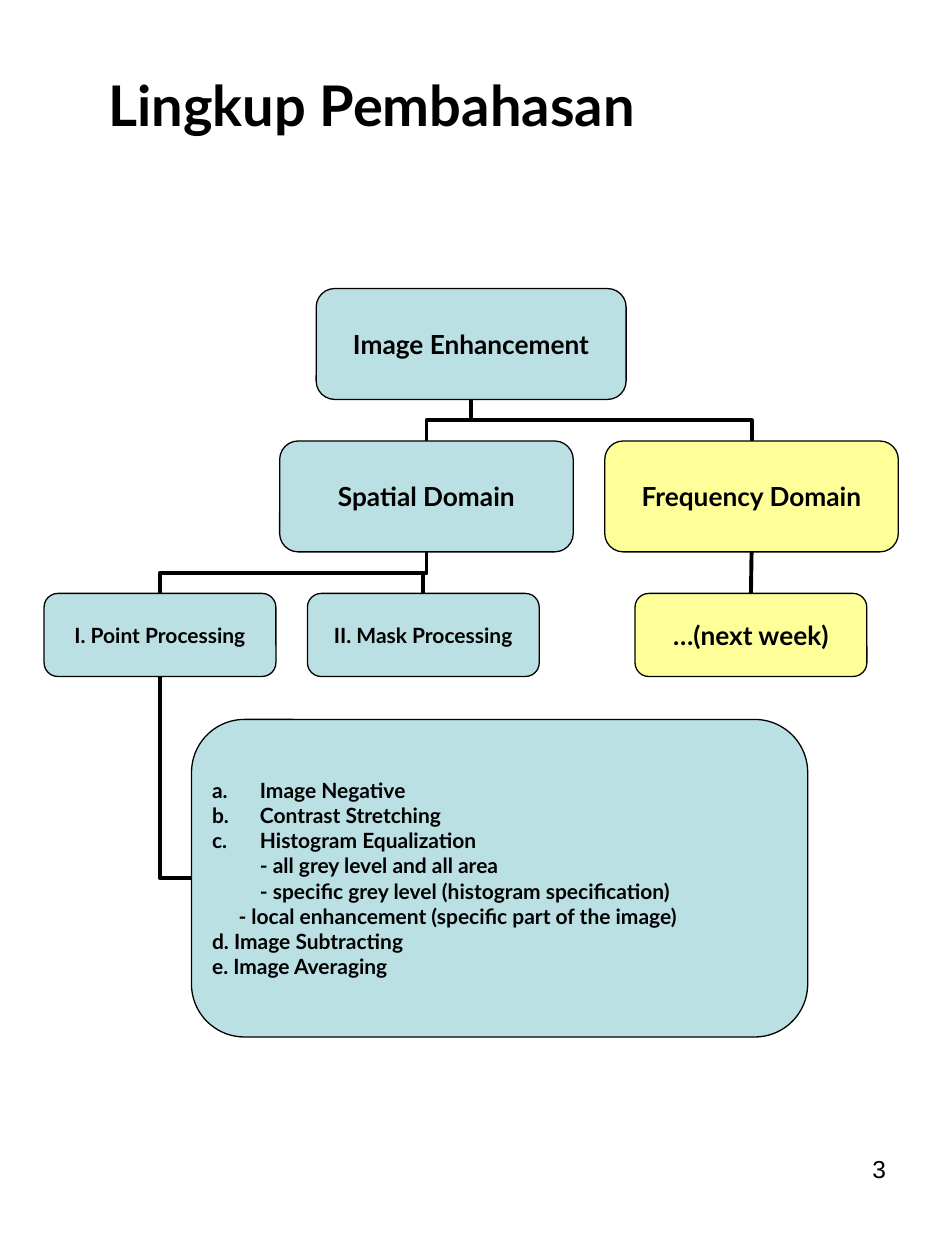
from dataclasses import dataclass

from pptx import Presentation
from pptx.dml.color import RGBColor
from pptx.enum.shapes import MSO_CONNECTOR, MSO_SHAPE
from pptx.enum.text import MSO_ANCHOR, PP_ALIGN
from pptx.oxml.ns import qn
from pptx.util import Inches, Pt
from lxml.etree import SubElement

COLORS = {"ink": "000000", "covered": "BBE0E3", "later": "FFFF99"}
LEVEL_TOPS = (2.29, 3.5, 4.71)


@dataclass(frozen=True)
class Topic:
    left: float
    top: float
    width: float
    height: float
    text: str = ""
    size: float = 15
    color: str = "covered"

    @property
    def center(self) -> float:
        return self.left + self.width / 2

    @property
    def bottom(self) -> float:
        return self.top + self.height


@dataclass(frozen=True)
class ListLine:
    text: str
    indent: float = 0
    lettered: bool = False


root = Topic(2.51, LEVEL_TOPS[0], 2.46, 0.88, "Image Enhancement")
spatial = Topic(2.22, LEVEL_TOPS[1], 2.33, 0.88, "Spatial Domain")
frequency = Topic(4.8, LEVEL_TOPS[1], 2.33, 0.88, "Frequency Domain", color="later")
point = Topic(0.35, LEVEL_TOPS[2], 1.84, 0.66, "I. Point Processing", 12)
mask = Topic(2.44, LEVEL_TOPS[2], 1.84, 0.66, "II. Mask Processing", 12)
next_week = Topic(5.04, LEVEL_TOPS[2], 1.84, 0.66, "…(next week)", color="later")
methods = Topic(1.52, 5.71, 4.89, 2.52, size=12)

TOPICS = (root, spatial, frequency, point, mask, next_week)
BRANCHES = ((root, spatial), (root, frequency), (spatial, point),
            (spatial, mask), (frequency, next_week))
METHOD_LINES = (
    ListLine("Image Negative", 0.38, True),
    ListLine("Contrast Stretching", 0.38, True),
    ListLine("Histogram Equalization", 0.38, True),
    ListLine("- all grey level and all area", 0.38),
    ListLine("- specific grey level (histogram specification)", 0.38),
    ListLine("- local enhancement (specific part of the image)", 0.21),
    ListLine("d. Image Subtracting"),
    ListLine("e. Image Averaging"),
)


def rgb(name: str) -> RGBColor:
    return RGBColor.from_string(COLORS[name])


def set_font(paragraph, size: float, name: str = "Lato", bold: bool = True) -> None:
    font = paragraph.font
    font.name, font.size, font.bold = name, Pt(size), bold
    font.color.rgb = rgb("ink")


def add_line(shapes, kind, x1: float, y1: float, x2: float, y2: float):
    line = shapes.add_connector(kind, Inches(x1), Inches(y1), Inches(x2), Inches(y2))
    line.line.color.rgb = rgb("ink")
    line.line.width = Pt(2.25)
    SubElement(line._element.spPr, qn("a:effectLst"))
    return line


def add_branch(shapes, parent: Topic, child: Topic) -> None:
    dx, dy = child.center - parent.center, child.top - parent.bottom
    if abs(dx) < 0.01:
        add_line(shapes, MSO_CONNECTOR.STRAIGHT,
                 parent.center, parent.bottom, child.center, child.top)
        return
    # A quarter turn makes the elbow leave the parent downwards
    mid_x, mid_y = parent.center + dx / 2, parent.bottom + dy / 2
    elbow = add_line(shapes, MSO_CONNECTOR.ELBOW, mid_x - dy / 2, mid_y + dx / 2,
                     mid_x + dy / 2, mid_y - dx / 2)
    elbow.rotation = 90


def add_topic(shapes, topic: Topic):
    box = shapes.add_shape(MSO_SHAPE.ROUNDED_RECTANGLE, Inches(topic.left),
                           Inches(topic.top), Inches(topic.width), Inches(topic.height))
    box.shadow.inherit = False
    box.fill.solid()
    box.fill.fore_color.rgb = rgb(topic.color)
    box.line.color.rgb = rgb("ink")
    box.line.width = Pt(0.75)
    frame = box.text_frame
    frame.word_wrap = True
    frame.vertical_anchor = MSO_ANCHOR.MIDDLE
    frame.margin_left = frame.margin_right = Inches(0.04)
    frame.margin_top = frame.margin_bottom = Inches(0.02)
    frame.text = topic.text
    frame.paragraphs[0].alignment = PP_ALIGN.CENTER
    set_font(frame.paragraphs[0], topic.size)
    return frame


def add_method_list(shapes) -> None:
    frame = add_topic(shapes, methods)
    frame.text = "\n".join(line.text for line in METHOD_LINES)
    for paragraph, line in zip(frame.paragraphs, METHOD_LINES):
        paragraph.alignment = PP_ALIGN.LEFT
        properties = paragraph._p.get_or_add_pPr()
        properties.set("marL", str(Inches(line.indent)))
        if line.lettered:
            properties.set("indent", str(-Inches(line.indent)))
            SubElement(properties, qn("a:buFont"), typeface="Lato")
            SubElement(properties, qn("a:buAutoNum"), type="alphaLcPeriod")
        set_font(paragraph, methods.size)


prs = Presentation()
prs.slide_width, prs.slide_height = Inches(7.5), Inches(10)
slide = prs.slides.add_slide(prs.slide_layouts[5])
shapes = slide.shapes

# Title
title = shapes.title
title.left, title.top = Inches(0.76), Inches(0.51)
title.width, title.height = Inches(5.62), Inches(0.64)
title.text_frame.text = "Lingkup Pembahasan"
title.text_frame.vertical_anchor = MSO_ANCHOR.TOP
title.text_frame.paragraphs[0].alignment = PP_ALIGN.LEFT
set_font(title.text_frame.paragraphs[0], 32)

# Lines of the tree
for parent, child in BRANCHES:
    add_branch(shapes, parent, child)
list_link = add_line(shapes, MSO_CONNECTOR.ELBOW, point.center, point.bottom,
                     methods.left, methods.top + methods.height / 2)
list_link.rotation = 180
list_link._element.spPr.find(qn("a:prstGeom")).set("prst", "bentConnector2")

# Topics and the list of methods
for topic in TOPICS:
    add_topic(shapes, topic)
add_method_list(shapes)

# Page number
page_number = shapes.add_textbox(Inches(5.38), Inches(9.11), Inches(1.75), Inches(0.69))
page_number.text_frame.word_wrap = True
page_number.text_frame.text = "3"
page_number.text_frame.paragraphs[0].alignment = PP_ALIGN.RIGHT
set_font(page_number.text_frame.paragraphs[0], 14, "Arial", False)

prs.save("out.pptx")
